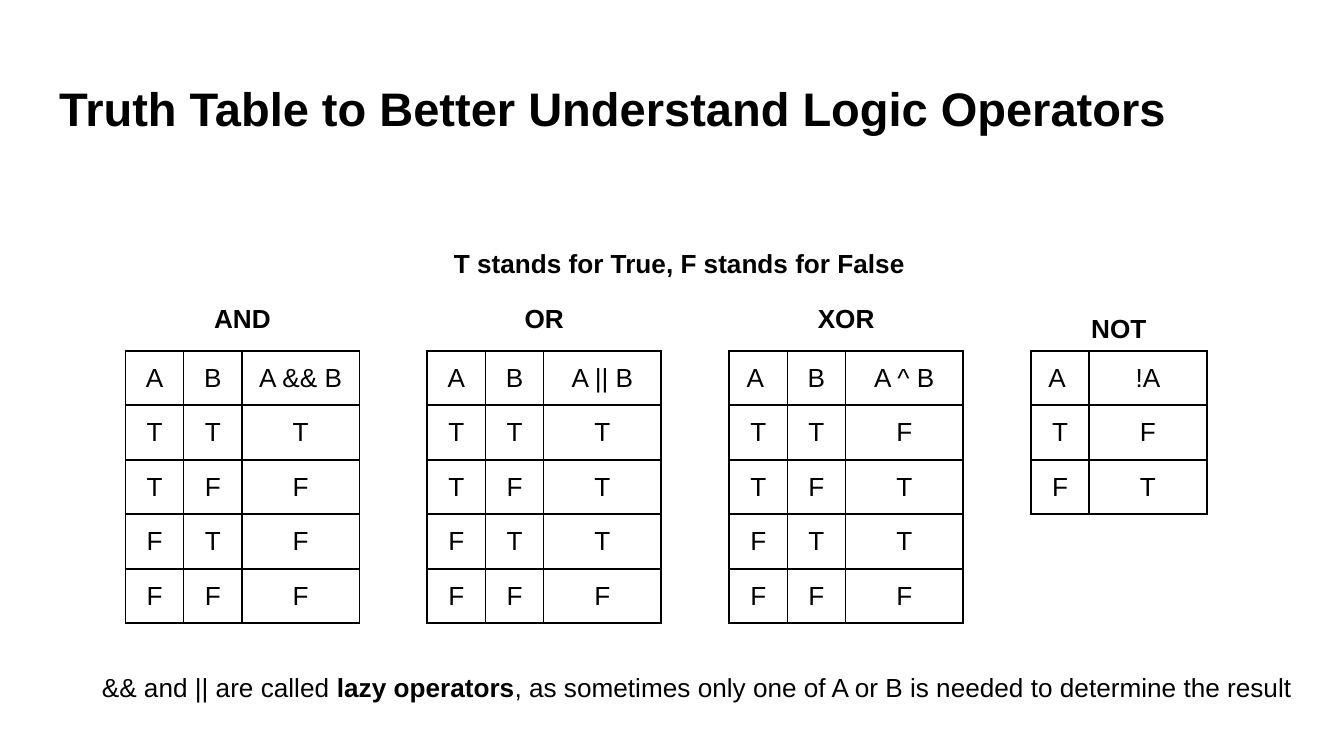
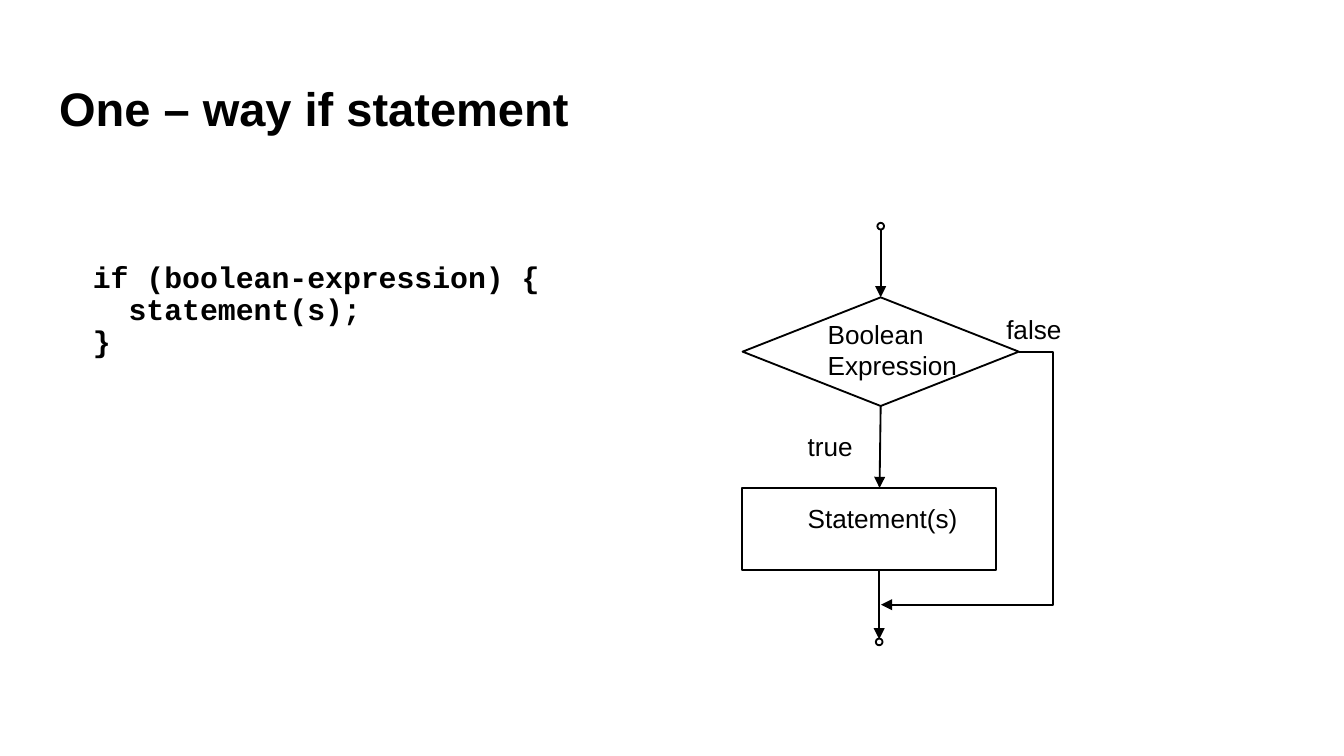
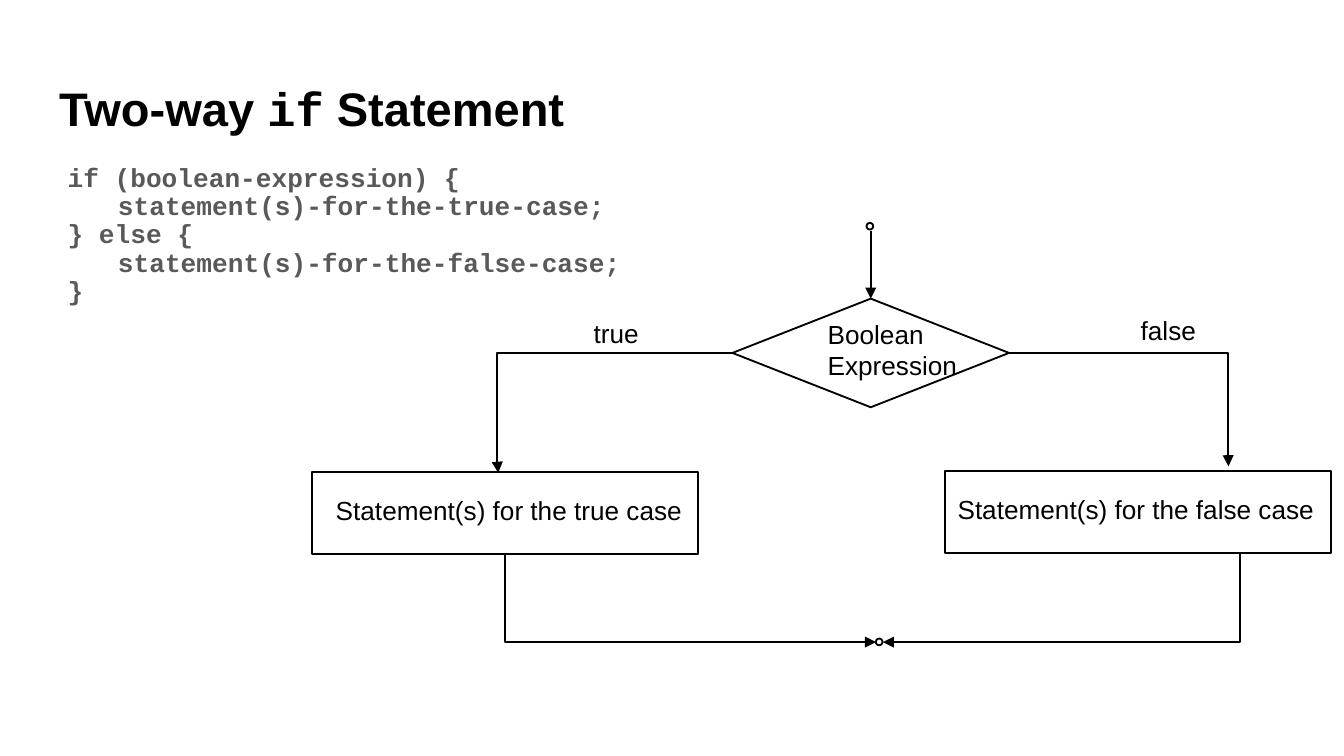
from pptx import Presentation
from pptx.dml.color import RGBColor
from pptx.enum.shapes import MSO_CONNECTOR as CXN, MSO_SHAPE as SHAPE
from pptx.enum.text import MSO_ANCHOR as ANCHOR, MSO_AUTO_SIZE as AUTO, PP_ALIGN as ALIGN
from pptx.oxml.ns import qn
from pptx.util import Pt
from lxml.etree import SubElement

BLACK = RGBColor(0, 0, 0)
WHITE = RGBColor(255, 255, 255)
GRAY = RGBColor(0x59, 0x59, 0x59)
SANS, MONO = "Arial", "Courier New"

TITLE_BOX = (24.5, 35.3, 671, 45.4)
TABLE_LEFT, TABLE_TOP, TABLE_STEP = 67.2, 187.9, 161.7
VALUE_W, RESULT_W, ROW_H = 31.2, 63, 29.2
LABEL_W, LABEL_H = 53, 24.5
DOT = 3.6

TABLES = [
    ("AND", 158.4, ["A,B,A && B", "T,T,T", "T,F,F", "F,T,F", "F,F,F"]),
    ("OR", 158.4, ["A,B,A || B", "T,T,T", "T,F,T", "F,T,T", "F,F,F"]),
    ("XOR", 158.4, ["A ,B,A ^ B", "T,T,F", "T,F,T", "F,T,T", "F,F,F"]),
    ("NOT", 163.8, ["A ,!A", "T,F", "F,T"]),
]
LEGEND = "T stands for True, F stands for False"
LAZY_NOTE = [
    ("&& and || are called ", {}),
    ("lazy operators", {"bold": True}),
    (", as sometimes only one of A or B is needed to determine the result", {}),
]

FLOWS = [
    {
        "title": "One – way if statement",
        "code": ["if (boolean-expression) {", "  statement(s);", "}"],
        "code_box": (33.6, 133.4, 328.3, 51.8),
        "code_format": {"size": 16, "color": BLACK},
        "diamond": (397.8, 159.3, 148, 58.2),
        "boxes": [(397.7, 261.4, 136, 43.9)],
        "dots": [(471.8, 121.2), (471, 343.9)],
        "arrows": [
            ((471.8, 123), (471.8, 159.3)),
            ((471.8, 217.5), (471.2, 261.4)),
            ((471, 305.3), (471, 342.5)),
        ],
        "elbows": [((545.8, 188.4), (472, 324), 564.1)],
        "labels": [
            ("Boolean Expression", 436.3, 166.8, 95.8, 41),
            ("false", 532, 164.2, 95.8, LABEL_H),
            ("Statement(s)", 425.6, 265.7, 95.8, LABEL_H),
            ("true", 425.6, 226.8, 95.8, LABEL_H),
        ],
    },
    {
        "title": [("Two-way ", {}), ("if", {"font": MONO}), (" Statement", {})],
        "code": [
            "if (boolean-expression) {",
            "  \tstatement(s)-for-the-true-case;",
            "} else {",
            "  \tstatement(s)-for-the-false-case;",
            "}",
        ],
        "code_box": (20, 81.1, 416.2, 80),
        "code_format": {"size": 14, "color": GRAY},
        "diamond": (392.4, 160, 148.2, 58.2),
        "boxes": [(167, 252.9, 206.8, 43.9), (506.1, 252.2, 206.8, 43.9)],
        "dots": [(466, 121.2), (471, 343.9)],
        "arrows": [((466.5, 124), (466.5, 160))],
        "elbows": [
            ((392.4, 189.1), (267, 253.3), 266.5),
            ((540.6, 189.1), (658.1, 249.8), 658),
            ((270.7, 297), (469.3, 344), 270.7),
            ((664.2, 296.5), (473, 344), 664.4),
        ],
        "labels": [
            ("Boolean Expression", 436.3, 166.8, 95.8, 41),
            ("true", 311, 166.5, 95.8, LABEL_H),
            ("false", 604, 164.9, 95.8, LABEL_H),
            ("Statement(s) for the true case", 172.8, 261.4, 201.6, LABEL_H),
            ("Statement(s) for the false case", 505.9, 260.8, 206.8, LABEL_H),
        ],
    },
]


def points(*values):
    """Turn numbers into point lengths."""
    return [Pt(v) for v in values]


def write(p, text, align=ALIGN.LEFT, size=14, font=SANS, color=BLACK, bold=False):
    """Fill a paragraph with a string or with (string, changes) runs."""
    p.alignment = align
    base = {"font": font, "bold": bold}
    for part, changes in [(text, {})] if isinstance(text, str) else text:
        style = {**base, **changes}
        r = p.add_run()
        r.text = part
        r.font.size = Pt(size)
        r.font.name = style["font"]
        r.font.bold = style["bold"]
        r.font.color.rgb = color


def place(sp, box):
    """Move a placeholder and give it even insets."""
    sp.left, sp.top, sp.width, sp.height = points(*box)
    tf = sp.text_frame
    tf.word_wrap, tf.auto_size, tf.vertical_anchor = True, AUTO.NONE, ANCHOR.TOP
    tf.margin_left = tf.margin_right = tf.margin_top = tf.margin_bottom = Pt(7.2)
    return tf


def new_slide(prs, layout, title):
    """Add a slide with the shared title style."""
    s = prs.slides.add_slide(prs.slide_layouts[layout])
    tf = place(s.shapes.title, TITLE_BOX)
    write(tf.paragraphs[0], title, size=25.2, bold=True)
    return s


def add_label(s, text, x, y, w, h, **style):
    """Add a wrapped text box."""
    tf = s.shapes.add_textbox(*points(x, y, w, h)).text_frame
    tf.word_wrap, tf.auto_size = True, AUTO.SHAPE_TO_FIT_TEXT
    write(tf.paragraphs[0], text, **style)


def add_node(s, kind, box, fill=None):
    """Add an outlined flowchart shape."""
    sp = s.shapes.add_shape(kind, *points(*box))
    sp.shadow.inherit = False
    if fill is None:
        sp.fill.background()
    else:
        sp.fill.solid()
        sp.fill.fore_color.rgb = fill
    sp.line.color.rgb, sp.line.width = BLACK, Pt(1)
    return sp


def add_arrow(s, start, end, turn=None):
    """Add an arrow, bent at the given x when there is one."""
    kind = CXN.STRAIGHT if turn is None else CXN.ELBOW
    c = s.shapes.add_connector(kind, *points(*start, *end))
    c.line.color.rgb, c.line.width = BLACK, Pt(1)
    props = c._element.spPr
    SubElement(props.find(qn("a:ln")), qn("a:tailEnd"), type="triangle")
    SubElement(props, qn("a:effectLst"))
    if turn is not None:
        ratio = (turn - start[0]) / (end[0] - start[0])
        guides = props.find(qn("a:prstGeom")).get_or_add_avLst()
        SubElement(guides, qn("a:gd"), name="adj1", fmla=f"val {round(ratio * 100000)}")
    return c


def side_at(box, point):
    """Give the side whose middle is at the point, or None."""
    x, y, w, h = box
    sides = [(x + w / 2, y), (x, y + h / 2), (x + w / 2, y + h), (x + w, y + h / 2)]
    for i, (sx, sy) in enumerate(sides):
        if abs(sx - point[0]) < 0.1 and abs(sy - point[1]) < 0.1:
            return i
    return None


def add_truth_table(s, x, rows):
    """Add a ruled truth table and return its width."""
    cells = [row.split(",") for row in rows]
    widths = [VALUE_W] * (len(cells[0]) - 1) + [RESULT_W]
    size = points(x, TABLE_TOP, sum(widths), ROW_H * len(rows))
    table = s.shapes.add_table(len(rows), len(widths), *size).table
    table.first_row = table.horz_banding = False
    for column, w in zip(table.columns, widths):
        column.width = Pt(w)
    for i, row in enumerate(cells):
        table.rows[i].height = Pt(ROW_H)
        for j, text in enumerate(row):
            cell = table.cell(i, j)
            cell.vertical_anchor = ANCHOR.MIDDLE
            write(cell.text_frame.paragraphs[0], text, align=ALIGN.CENTER)
            props = cell._tc.get_or_add_tcPr()
            for side in ("lnL", "lnR", "lnT", "lnB"):
                ln = SubElement(props, qn(f"a:{side}"), w=str(Pt(1)))
                fill = SubElement(ln, qn("a:solidFill"))
                SubElement(fill, qn("a:srgbClr"), val=str(BLACK))
            cell.fill.background()
    return sum(widths)


def build_tables(prs):
    """Build the truth table slide."""
    s = new_slide(prs, 5, "Truth Table to Better Understand Logic Operators")
    heading = {"align": ALIGN.CENTER, "bold": True}
    for i, (name, top, rows) in enumerate(TABLES):
        x = TABLE_LEFT + i * TABLE_STEP
        w = add_truth_table(s, x, rows)
        add_label(s, name, x + (w - LABEL_W) / 2, top, LABEL_W, LABEL_H, **heading)
    add_label(s, LEGEND, 181.6, 128.9, 365, LABEL_H, **heading)
    add_label(s, LAZY_NOTE, 47.5, 356.4, 654, LABEL_H)


def build_flow(prs, flow):
    """Build a slide with code and its flowchart."""
    s = new_slide(prs, 1, flow["title"])
    tf = place(s.placeholders[1], flow["code_box"])
    for i, line in enumerate(flow["code"]):
        p = tf.add_paragraph() if i else tf.paragraphs[0]
        props = p._p.get_or_add_pPr()
        props.set("marL", str(Pt(36)))
        props.set("indent", str(Pt(-27)))
        SubElement(props, qn("a:buNone"))
        p.line_spacing, p.space_before = 0.9, Pt(0)
        write(p, line, font=MONO, bold=True, **flow["code_format"])

    diamond = add_node(s, SHAPE.FLOWCHART_DECISION, flow["diamond"])
    nodes = [(flow["diamond"], diamond)]
    for box in flow["boxes"]:
        nodes.append((box, add_node(s, SHAPE.FLOWCHART_PROCESS, box, fill=WHITE)))
    for x, y in flow["dots"]:
        add_node(s, SHAPE.OVAL, (x - DOT / 2, y - DOT / 2, DOT, DOT))
    for start, end in flow["arrows"]:
        c = add_arrow(s, start, end)
        for box, sp in nodes:
            for point, connect in ((start, c.begin_connect), (end, c.end_connect)):
                side = side_at(box, point)
                if side is not None:
                    connect(sp, side)
    for start, end, turn in flow["elbows"]:
        add_arrow(s, start, end, turn)
    for label in flow["labels"]:
        add_label(s, *label)


def main():
    """Build and save the deck."""
    prs = Presentation()
    prs.slide_width, prs.slide_height = points(720, 405)
    build_tables(prs)
    for flow in FLOWS:
        build_flow(prs, flow)
    prs.save("out.pptx")


if __name__ == "__main__":
    main()
